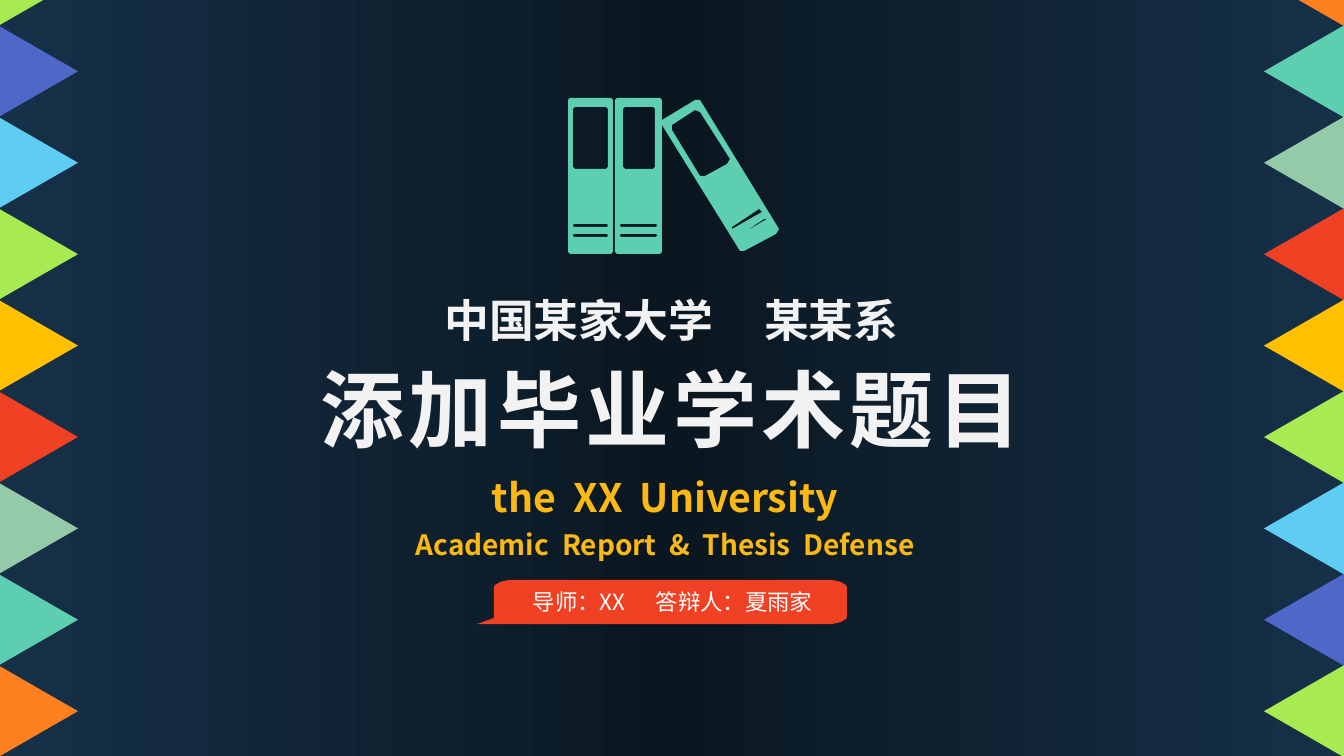
from math import cos, radians, sin

from lxml.etree import SubElement
from pptx import Presentation
from pptx.dml.color import RGBColor
from pptx.enum.shapes import MSO_SHAPE
from pptx.enum.text import MSO_AUTO_SIZE, PP_ALIGN
from pptx.oxml.ns import qn
from pptx.util import Pt

THEME = {
    "font": "Noto Sans CJK SC",
    "navy": "163048", "night": "0A1721", "light": "F2F2F2", "white": "FFFFFF",
    "gold": "FCB813", "red": "F14124", "teal": "5DCEAF",
    "title": 60, "school": 32, "english": 28, "subtitle": 20, "names": 16,
}

# Text lines: pieces set apart by a gap, type size, gap in points
SCHOOL = [(["中国某家大学", "某某系"], THEME["school"], 29)]
TITLE = [(["添加毕业学术题目"], THEME["title"], 0)]
ENGLISH = [
    (["the", "XX", "University"], THEME["english"], 6),
    (["Academic", "Report", "&", "Thesis", "Defense"], THEME["subtitle"], 4.5),
]
NAMES = [(["导师：XX", "答辩人：夏雨家"], THEME["names"], 18)]

# Edge colours from top to bottom on the left, bottom to top on the right
EDGE_COLOURS = ["A7EA52", "4E67C8", "5ECCF3", "A7EA52", "FFC000",
                "F14124", "94CAA8", "5DCEAF", "FF8021"]

# Upright books as left, top, right, bottom, corner cut
BOOK_PARTS = [
    (568, 98, 613, 254, 2), (573, 107, 608, 169, 2),
    (573, 224, 608, 227, 1), (573, 234, 608, 237, 1),
    (615, 98, 662, 254, 2), (623, 107, 655, 169, 2),
    (620, 224, 657, 227, 1), (620, 234, 657, 237, 1),
]
LEANING_BOOK = [
    [(779, 229), (700, 100), (695, 100), (662, 120), (662, 125),
     (740, 251), (744, 251), (776, 234)],
    [(727, 164), (705, 176), (700, 176), (672, 130), (672, 125),
     (695, 110), (700, 112), (730, 159)],
    [(732, 229), (732, 227), (759, 209), (762, 212)],
    [(743, 233), (764, 219), (767, 219)],
]

SLIDE_WIDTH, SLIDE_HEIGHT = 1344, 756
SCALE = 914400 / 100.8


def px(length):
    return round(length * SCALE)


def rgb(name):
    return RGBColor.from_string(THEME.get(name, name))


def paint(shape, colour):
    shape.shadow.inherit = False
    shape.fill.solid()
    shape.fill.fore_color.rgb = rgb(colour)
    shape.line.fill.background()


def add_backdrop(slide, left, width, colours):
    panel = slide.shapes.add_shape(MSO_SHAPE.RECTANGLE, px(left), 0, px(width), px(SLIDE_HEIGHT))
    panel.shadow.inherit = False
    panel.line.fill.background()
    panel.fill.gradient()
    panel.fill.gradient_angle = 0
    for stop, colour in zip(panel.fill.gradient_stops, colours):
        stop.color.rgb = rgb(colour)


def add_edge(slide, center, rotation, colours):
    """Stack triangles that point inwards along one side of the slide."""
    base, depth, first, pitch = 92, 80, -20, 91.4
    edge = slide.shapes.add_group_shape()
    for row, colour in enumerate(colours):
        middle = first + row * pitch
        triangle = edge.shapes.add_shape(
            MSO_SHAPE.ISOSCELES_TRIANGLE, px(center - base / 2),
            px(middle - depth / 2), px(base), px(depth))
        triangle.rotation = rotation
        paint(triangle, colour)


def add_outline(slide, contours, colour):
    builder = slide.shapes.build_freeform(*contours[0][0], scale=SCALE)
    for index, contour in enumerate(contours):
        if index:
            builder.move_to(*contour[0])
        builder.add_line_segments(contour[1:], close=True)
    paint(builder.convert_to_shape(), colour)


def cut_rectangle(left, top, right, bottom, cut):
    return [(left + cut, top), (right - cut, top), (right, top + cut),
            (right, bottom - cut), (right - cut, bottom), (left + cut, bottom),
            (left, bottom - cut), (left, top + cut)]


def corner(x, y, start):
    """Points of a flat quarter ellipse, clockwise from the start angle."""
    angles = [radians(start + step * 15) for step in range(7)]
    return [(x + 20 * cos(angle), y + 7 * sin(angle)) for angle in angles]


def add_banner(slide):
    left, top, right, bottom = 494, 580, 847, 624
    tail = [(477, bottom), (left, bottom - 6)]
    add_outline(slide, [corner(left + 20, top + 7, 180)
                        + corner(right - 20, top + 7, 270)
                        + corner(right - 20, bottom - 7, 0) + tail], "red")


def add_text(slide, lines, left, top, width, height, *, colour,
             bold=True, wrap=True, spacing=0, line_spacing=None):
    box = slide.shapes.add_textbox(px(left), px(top), px(width), px(height))
    frame = box.text_frame
    frame.word_wrap = wrap
    frame.auto_size = MSO_AUTO_SIZE.SHAPE_TO_FIT_TEXT
    for index, (pieces, size, gap) in enumerate(lines):
        paragraph = frame.add_paragraph() if index else frame.paragraphs[0]
        paragraph.alignment = PP_ALIGN.CENTER
        if line_spacing:
            paragraph.line_spacing = line_spacing
        for number, piece in enumerate(pieces):
            runs = [(" ", gap)] if number else []
            for text, tracking in runs + [(piece, spacing)]:
                run = paragraph.add_run()
                run.text = text
                run.font.size = Pt(size)
                run.font.bold = bold
                run.font.color.rgb = rgb(colour)
                run.font.name = THEME["font"]
                properties = run.font._element if hasattr(run.font, "_element") else run._r.get_or_add_rPr()
                SubElement(properties, qn("a:ea"), typeface=THEME["font"])
                if tracking:
                    properties.set("spc", str(round(tracking * 100)))


def main():
    presentation = Presentation()
    presentation.slide_width = px(SLIDE_WIDTH)
    presentation.slide_height = px(SLIDE_HEIGHT)
    slide = presentation.slides.add_slide(presentation.slide_layouts[6])

    middle = 674
    add_backdrop(slide, middle, SLIDE_WIDTH - middle, ("night", "navy"))
    add_backdrop(slide, 0, middle, ("navy", "night"))

    add_text(slide, SCHOOL, 424, 288, 495, 65, colour="light", wrap=False)
    add_text(slide, TITLE, 305, 353, 733, 112, colour="light", wrap=False, spacing=3)
    add_text(slide, ENGLISH, 329, 459, 672, 105, colour="gold", line_spacing=1.2)

    add_banner(slide)
    add_edge(slide, 1304, 270, EDGE_COLOURS[::-1])
    add_edge(slide, 38, 90, EDGE_COLOURS)
    upright_books = [cut_rectangle(*part) for part in BOOK_PARTS]
    add_outline(slide, upright_books + LEANING_BOOK, "teal")
    add_text(slide, NAMES, 472, 583, 401, 37, colour="white", bold=False)

    presentation.save("out.pptx")


if __name__ == "__main__":
    main()
